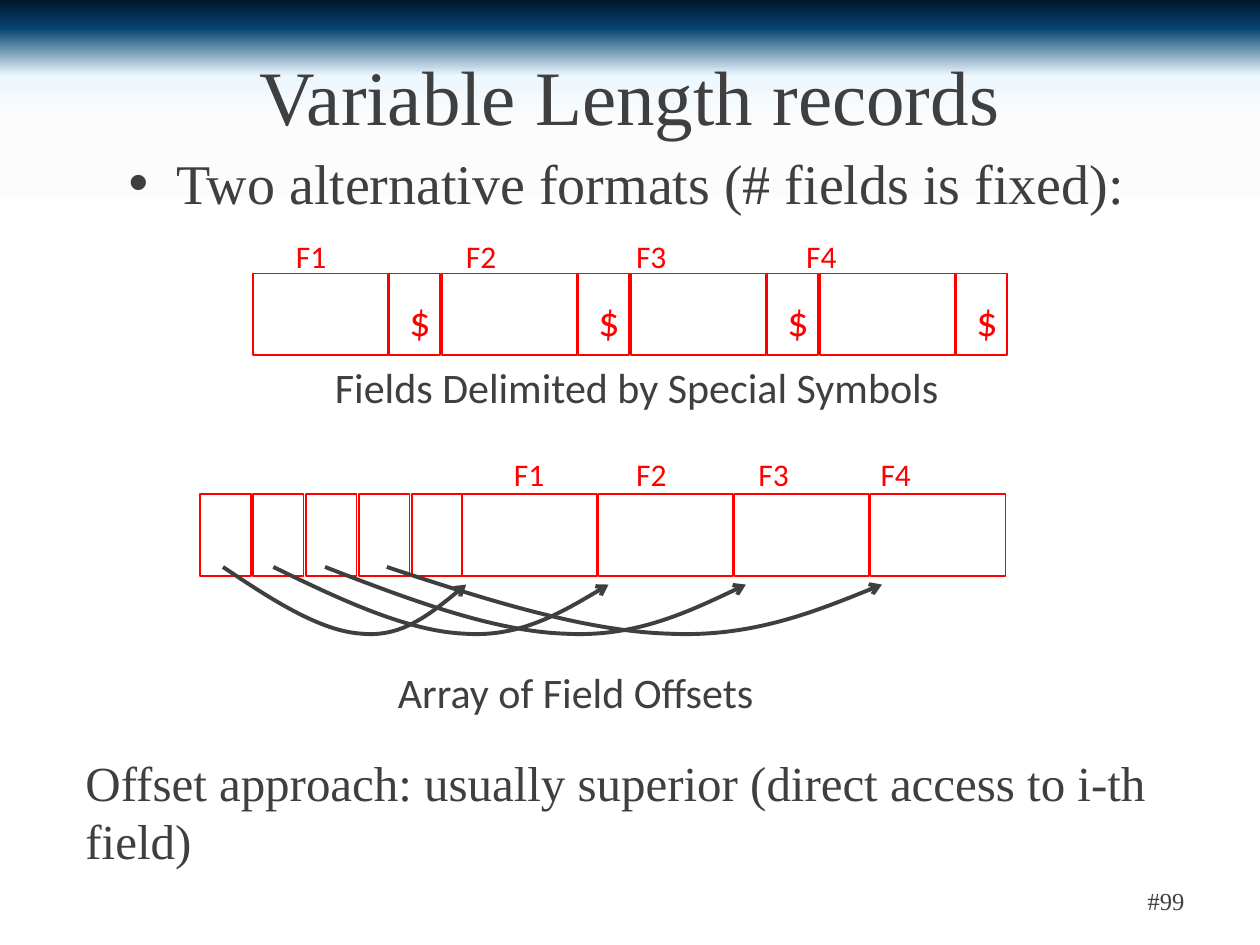
from lxml.etree import SubElement
from pptx import Presentation
from pptx.dml.color import RGBColor
from pptx.enum.shapes import MSO_SHAPE
from pptx.enum.text import MSO_ANCHOR, MSO_AUTO_SIZE, PP_ALIGN
from pptx.oxml.ns import qn
from pptx.util import Inches, Pt

# Content
TITLE = "Variable Length records"
BULLET = "Two alternative formats (# fields is fixed):"
CONCLUSION = "Offset approach: usually superior (direct access to i-th field)"
PAGE_NUMBER = "#99"
FIELDS = ["F1", "F2", "F3", "F4"]
DELIMITER = "$"
DELIMITED_CAPTION = "Fields Delimited by Special Symbols"
OFFSETS_CAPTION = "Array of Field Offsets"
OFFSET_COUNT = 5

THEME = {
    "serif": "Times New Roman", "sans": "Calibri",
    "text": RGBColor.from_string("3F3F3F"),
    "accent": RGBColor.from_string("FF0000"),
    "title": 44, "bullet": 32, "conclusion": 28, "caption": 24,
    "label": 18, "number": 14, "box_line": 1, "arrow_line": 2.25,
    "background": [(0, "011629"), (3, "054470"), (8, "ECF7FE"),
                   (13, "FCFCFC"), (21, "FFFFFF"), (98, "FFFFFF")],
}

# Layout, in inches
FIELD_WIDTH, SMALL_WIDTH, BOX_HEIGHT = 1.07, 0.4, 0.65
DELIMITED_LEFT, DELIMITED_TOP, DELIMITED_PITCH = 2.01, 2.17, 1.5
OFFSETS_LEFT, OFFSETS_TOP, OFFSETS_PITCH = 1.59, 3.92, 0.42
RECORD_LEFT, RECORD_PITCH = 3.67, 1.08
ARROW_SPANS = [(1.77, 3.7), (2.17, 4.83), (2.58, 5.92), (3.07, 7)]
# Share of the span and height of each point of the two joined curves
ARROW_CURVE = [(0, 4.5), (0.2, 4.76), (0.4, 5.01), (0.57, 5.03),
               (0.73, 5.06), (0.87, 4.85), (1, 4.64)]


def format_text(shape, text, size, font="serif", color="text", align=PP_ALIGN.LEFT):
    frame = shape.text_frame
    frame.text = text
    frame.word_wrap = True
    frame.auto_size = MSO_AUTO_SIZE.NONE
    paragraph = frame.paragraphs[0]
    paragraph.alignment = align
    paragraph.space_before = Pt(0)
    run_font = paragraph.runs[0].font
    run_font.name, run_font.size = THEME[font], Pt(THEME[size])
    run_font.color.rgb = THEME[color]
    return paragraph


def place(shape, *bounds):
    shape.left, shape.top, shape.width, shape.height = map(Inches, bounds)


def add_text(slide, bounds, text, size, **style):
    shape = slide.shapes.add_textbox(*map(Inches, bounds))
    format_text(shape, text, size, **style)
    return shape


def add_box(slide, left, top, width):
    shape = slide.shapes.add_shape(
        MSO_SHAPE.RECTANGLE, *map(Inches, (left, top, width, BOX_HEIGHT)))
    shape.shadow.inherit = False
    shape.fill.background()
    shape.line.color.rgb = THEME["accent"]
    shape.line.width = Pt(THEME["box_line"])


def add_field_labels(slide, bounds, pitch):
    """Field names in one box, spread by evenly spaced tab stops."""
    shape = add_text(slide, bounds, "\t".join(FIELDS), "label",
                     font="sans", color="accent")
    properties = shape.text_frame.paragraphs[0]._p.get_or_add_pPr()
    tabs = SubElement(properties, qn("a:tabLst"))
    for index in range(1, len(FIELDS)):
        SubElement(tabs, qn("a:tab"), pos=str(Inches(pitch * index)), algn="l")


def add_curved_arrow(slide, start, end):
    points = [(Inches(start + share * (end - start)), Inches(y))
              for share, y in ARROW_CURVE]
    builder = slide.shapes.build_freeform(*points[0])
    builder.add_line_segments(points[1:], close=False)
    shape = builder.convert_to_shape()
    shape.shadow.inherit = False
    shape.fill.background()
    shape.line.color.rgb = THEME["text"]
    shape.line.width = Pt(THEME["arrow_line"])
    SubElement(shape.line._get_or_add_ln(), qn("a:tailEnd"), type="arrow")
    # Every three line points become one Bézier segment
    outline = next(shape._element.iter(qn("a:path")))
    lines = outline.findall(qn("a:lnTo"))
    for first in range(0, len(lines), 3):
        curve = SubElement(outline, qn("a:cubicBezTo"))
        for line in lines[first:first + 3]:
            curve.append(line[0])
            outline.remove(line)


def set_background(slide):
    fill = slide.background.fill
    fill.gradient()
    fill.gradient_angle = 270
    stops = next(slide._element.iter(qn("a:gsLst")))
    for stop in list(stops):
        stops.remove(stop)
    for position, color in THEME["background"]:
        stop = SubElement(stops, qn("a:gs"), pos=str(position * 1000))
        SubElement(stop, qn("a:srgbClr"), val=color)


def main():
    presentation = Presentation()
    presentation.slide_width, presentation.slide_height = Inches(10), Inches(7.5)
    slide = presentation.slides.add_slide(presentation.slide_layouts[1])
    set_background(slide)

    # Title, bullet, conclusion and page number
    title, body = slide.placeholders
    place(title, 0.75, 0.25, 8.5, 1)
    format_text(title, TITLE, "title", align=PP_ALIGN.CENTER)
    title.text_frame.vertical_anchor = MSO_ANCHOR.MIDDLE
    place(body, 0.92, 1.08, 8.25, 0.75)
    paragraph = format_text(body, BULLET, "bullet")
    body.text_frame.margin_top = Inches(0.1)
    properties = paragraph._p.get_or_add_pPr()
    properties.set("marL", str(Inches(0.38)))
    properties.set("indent", str(Inches(-0.38)))
    SubElement(properties, qn("a:buChar"), char="•")
    add_text(slide, (0.58, 5.92, 8.85, 1.03), CONCLUSION, "conclusion")
    number = add_text(slide, (7.17, 6.95, 2.33, 0.4), PAGE_NUMBER, "number",
                      align=PP_ALIGN.RIGHT)
    number.text_frame.vertical_anchor = MSO_ANCHOR.MIDDLE

    # Record with delimited fields
    for index in range(len(FIELDS)):
        left = DELIMITED_LEFT + index * DELIMITED_PITCH
        delimiter_left = left + FIELD_WIDTH + 0.01
        add_box(slide, left, DELIMITED_TOP, FIELD_WIDTH)
        add_box(slide, delimiter_left, DELIMITED_TOP, SMALL_WIDTH)
        add_text(slide, (delimiter_left + 0.06, 2.29, 0.37, 0.5), DELIMITER,
                 "caption", font="sans", color="accent")
    add_field_labels(slide, (2.25, 1.83, 4.94, 0.4), 1.35)
    add_text(slide, (2.56, 2.82, 5.16, 0.5), DELIMITED_CAPTION, "caption", font="sans")

    # Record with an array of offsets
    for index in range(OFFSET_COUNT):
        add_box(slide, OFFSETS_LEFT + index * OFFSETS_PITCH, OFFSETS_TOP, SMALL_WIDTH)
    for index in range(len(FIELDS)):
        add_box(slide, RECORD_LEFT + index * RECORD_PITCH, OFFSETS_TOP, FIELD_WIDTH)
    add_field_labels(slide, (3.98, 3.56, 3.69, 0.4), 0.97)
    add_text(slide, (3.06, 5.24, 3.15, 0.5), OFFSETS_CAPTION, "caption", font="sans")
    for start, end in ARROW_SPANS:
        add_curved_arrow(slide, start, end)

    presentation.save("out.pptx")


if __name__ == "__main__":
    main()
